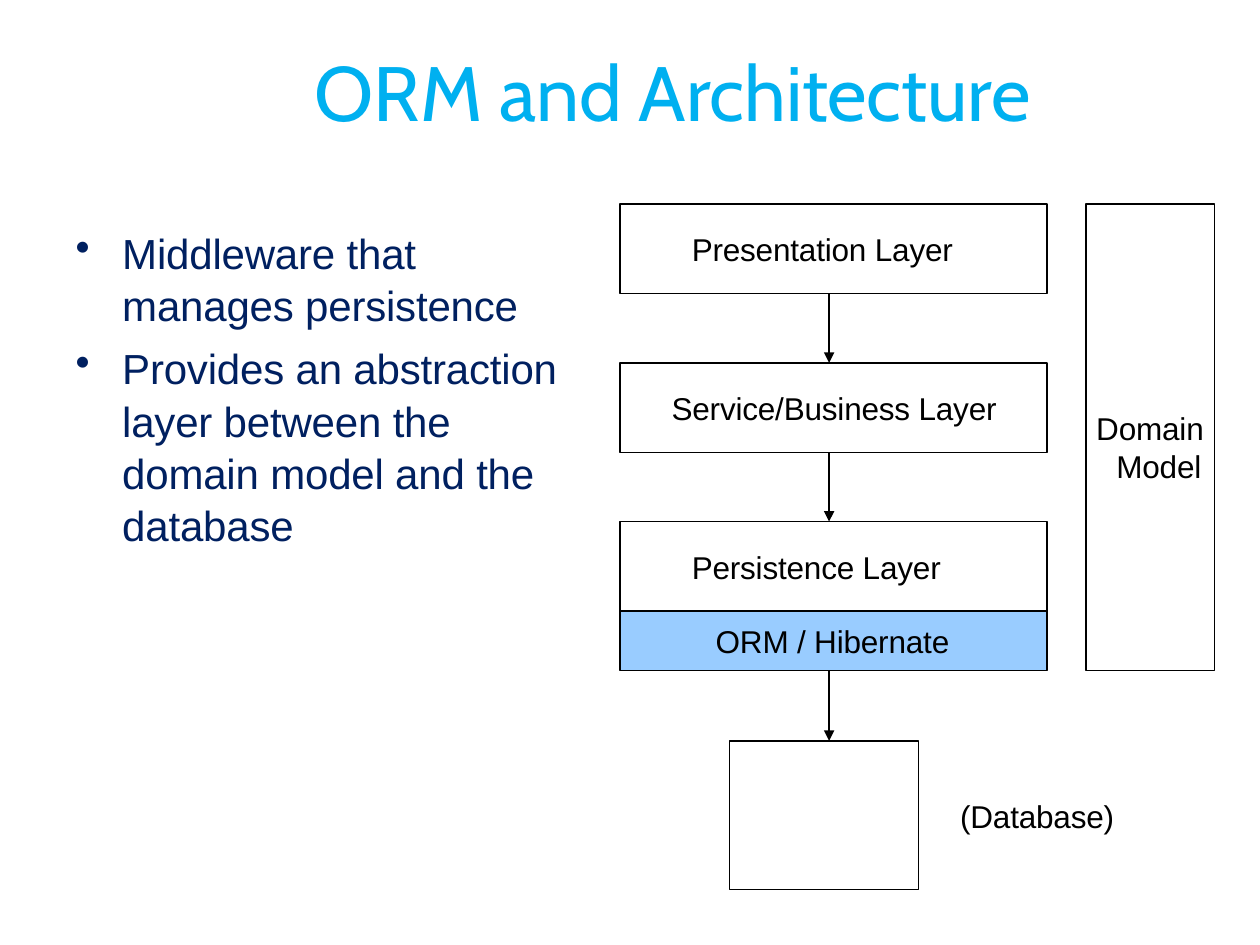
from pptx import Presentation
from pptx.dml.color import RGBColor
from pptx.enum.shapes import MSO_CONNECTOR, MSO_SHAPE
from pptx.enum.text import MSO_ANCHOR, PP_ALIGN
from pptx.oxml.ns import qn
from pptx.util import Inches, Pt
from lxml import etree


def rgb(value):
    return RGBColor.from_string(value)


def format_text(tf, size, color, font="Arial", align=PP_ALIGN.LEFT,
                anchor=MSO_ANCHOR.MIDDLE, left=0, top=0):
    tf.word_wrap = True
    tf.vertical_anchor = anchor
    tf.margin_left, tf.margin_top = Inches(left), Inches(top)
    tf.margin_right = tf.margin_bottom = 0
    for p in tf.paragraphs:
        p.alignment = align
        for r in p.runs:
            r.font.size = Pt(size)
            r.font.name = font
            r.font.color.rgb = rgb(color)
            r.font._element.set("spc", "-10")


prs = Presentation()
prs.slide_width, prs.slide_height = Inches(10), Inches(7.5)
s = prs.slides.add_slide(prs.slide_layouts[5])

title = s.shapes.title
title.left, title.top = Inches(0.13), Inches(0.35)
title.width, title.height = Inches(9), Inches(0.74)
title.text_frame.text = "ORM and Architecture"
format_text(title.text_frame, 44, "00B0F0", "Cabin", PP_ALIGN.CENTER, left=1.42)

body = s.shapes.add_textbox(Inches(0.59), Inches(1.79), Inches(3.88), Inches(2.5))
tf = body.text_frame
tf.text = ("Middleware that manages persistence\n"
           "Provides an abstraction layer between the domain model and the database")
format_text(tf, 24, "002060", anchor=MSO_ANCHOR.TOP)
for p in tf.paragraphs:
    p.line_spacing = 1.04
    pPr = p._p.get_or_add_pPr()
    pPr.set("marL", str(Inches(0.38)))
    pPr.set("indent", str(Inches(-0.37)))
    etree.SubElement(pPr, qn("a:buChar")).set("char", "•")
tf.paragraphs[1].space_before = Pt(6)

layer_x, layer_w, layer_h = 4.92, 3.39, 0.71
first_y, pitch = 1.62, 1.26
orm_y, orm_h = 4.85, 0.47
db_y = 5.88

boxes = [
    ("Presentation Layer", layer_x, first_y, layer_w, layer_h, 0.57, None),
    ("Service/Business Layer", layer_x, first_y + pitch, layer_w, layer_h, 0.41, None),
    ("Persistence Layer", layer_x, first_y + 2 * pitch, layer_w, layer_h, 0.57, None),
    ("ORM / Hibernate", layer_x, orm_y, layer_w, orm_h, 0.76, "99CCFF"),
    ("", 5.79, db_y, 1.5, 1.18, 0, None),
    ("Domain Model", 8.62, first_y, 1.02, 3.7, 0, None),
]
for text, x, y, w, h, indent, fill in boxes:
    sp = s.shapes.add_shape(MSO_SHAPE.RECTANGLE, Inches(x), Inches(y), Inches(w), Inches(h))
    sp.shadow.inherit = False
    sp.line.color.rgb = rgb("000000")
    sp.line.width = Pt(0.75)
    if fill:
        sp.fill.solid()
        sp.fill.fore_color.rgb = rgb(fill)
    else:
        sp.fill.background()
    sp.text_frame.text = text
    format_text(sp.text_frame, 18, "000000", left=indent)

domain = sp
domain.text_frame.margin_top = Inches(0.15)
pPr = domain.text_frame.paragraphs[0]._p.get_or_add_pPr()
pPr.set("marL", str(Inches(0.24)))
pPr.set("indent", str(Inches(-0.16)))

label = s.shapes.add_textbox(Inches(7.62), Inches(6.32), Inches(1.3), Inches(0.31))
label.text_frame.text = "(Database)"
format_text(label.text_frame, 18, "000000")

arrow_x = Inches(6.58)
arrows = [
    (first_y + layer_h, first_y + pitch),
    (first_y + pitch + layer_h, first_y + 2 * pitch),
    (orm_y + orm_h, db_y),
]
for start, end in arrows:
    arrow = s.shapes.add_connector(MSO_CONNECTOR.STRAIGHT, arrow_x, Inches(start),
                                   arrow_x, Inches(end))
    arrow.line.color.rgb = rgb("000000")
    arrow.line.width = Pt(1)
    tail = etree.SubElement(arrow.line._get_or_add_ln(), qn("a:tailEnd"))
    tail.set("type", "triangle")
    tail.set("w", "med")
    tail.set("len", "med")
    etree.SubElement(arrow._element.spPr, qn("a:effectLst"))

prs.save("out.pptx")
